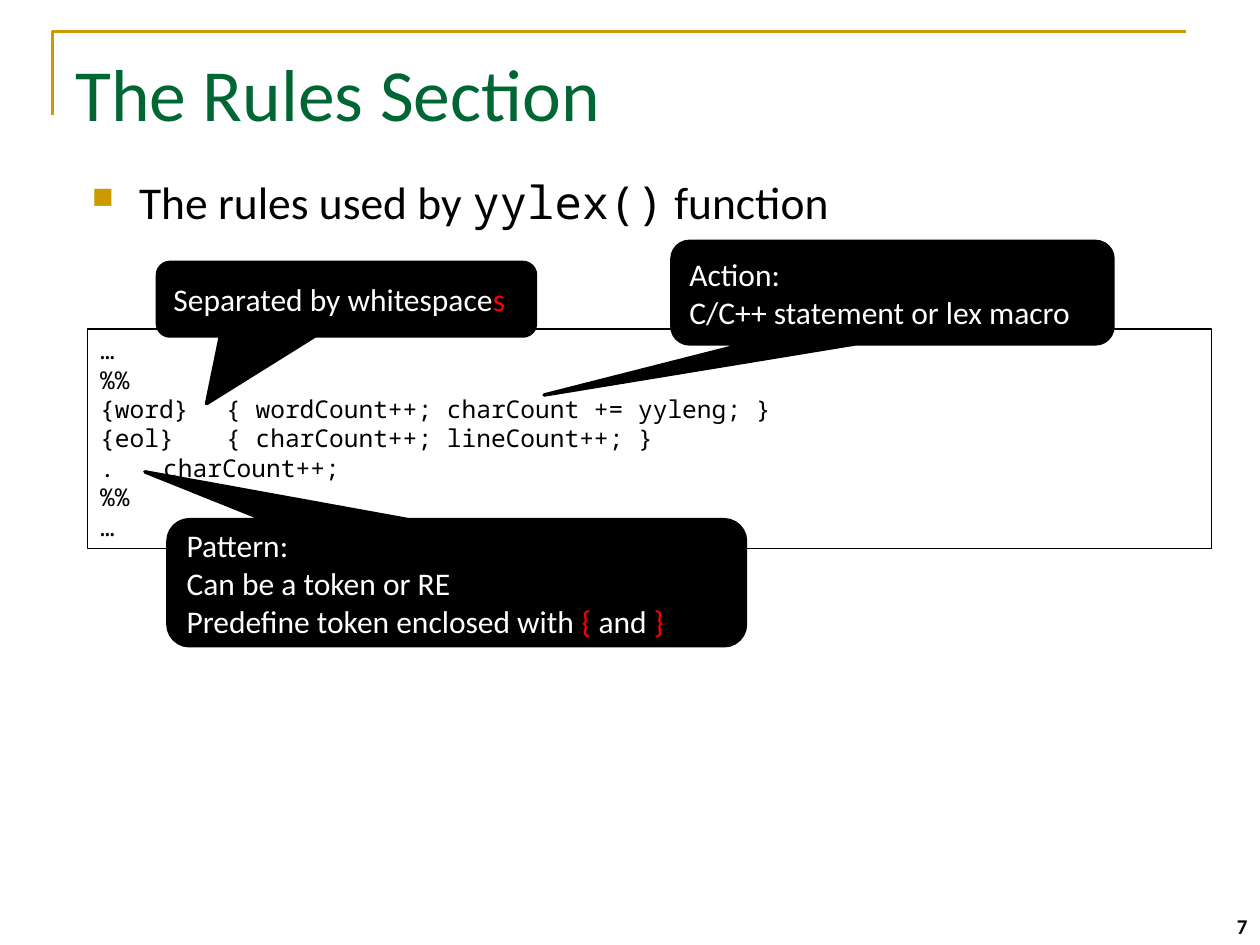
from pptx import Presentation
from pptx.dml.color import RGBColor
from pptx.enum.shapes import MSO_SHAPE as Preset
from pptx.enum.text import MSO_ANCHOR as Anchor, PP_ALIGN as Align
from pptx.oxml import parse_xml
from pptx.oxml.ns import nsdecls
from pptx.util import Pt

BLACK, WHITE, RED, GOLD, GREEN = "000000", "FFFFFF", "FF0000", "CC9900", "006633"
SANS, MONO = "Calibri", "Noto Sans Mono"


def color(value):
    return RGBColor.from_string(value)


def write(shape, lines, size, text_color=BLACK, font=SANS, align=Align.LEFT, **frame_format):
    """Fill a shape with lines; each line is a list of (text, font changes)."""
    frame = shape.text_frame
    frame_values = {"word_wrap": True, "vertical_anchor": Anchor.TOP, **frame_format}
    for name, value in frame_values.items():
        setattr(frame, name, value)
    for index, line in enumerate(lines):
        paragraph = frame.paragraphs[0] if index == 0 else frame.add_paragraph()
        paragraph.alignment = align
        for text, changes in line:
            run = paragraph.add_run()
            run.text = text
            font_values = {"name": font, "size": Pt(size), **changes}
            run_color = font_values.pop("color", text_color)
            for name, value in font_values.items():
                setattr(run.font, name, value)
            run.font.color.rgb = color(run_color)


presentation = Presentation()
presentation.slide_width, presentation.slide_height = Pt(720), Pt(540)
slide = presentation.slides.add_slide(presentation.slide_layouts[6])
shapes = slide.shapes

# Corner rule around the title
builder = shapes.build_freeform(Pt(30), Pt(66))
builder.add_line_segments([(Pt(30), Pt(18)), (Pt(678), Pt(18))], close=False)
corner = builder.convert_to_shape()
corner.shadow.inherit = False
corner.fill.background()
corner.line.color.rgb = color(GOLD)
corner.line.width = Pt(1.5)

# Page number
page_number = shapes.add_textbox(Pt(552), Pt(504), Pt(168), Pt(36))
write(page_number, [[("7", {"bold": True})]], 12, align=Align.RIGHT,
      vertical_anchor=Anchor.BOTTOM)

# Title
title = shapes.add_textbox(Pt(36), Pt(21.6), Pt(648), Pt(90))
write(title, [[("The Rules Section", {})]], 42, GREEN, margin_top=Pt(6))

# Bullet line
body = shapes.add_textbox(Pt(45.4), Pt(95.8), Pt(648), Pt(42))
write(body, [[("The rules used by ", {}), ("yylex()", {"name": MONO}), (" function", {})]], 26)
properties = body.text_frame.paragraphs[0]._p.get_or_add_pPr()
properties.set("marL", str(Pt(27)))
properties.set("indent", str(Pt(-27)))
for bullet_xml in (
    f'<a:buClr {nsdecls("a")}><a:srgbClr val="{GOLD}"/></a:buClr>',
    f'<a:buSzPct {nsdecls("a")} val="65000"/>',
    f'<a:buChar {nsdecls("a")} char="■"/>',
):
    properties.append(parse_xml(bullet_xml))

# Code listing
code_lines = [
    "…",
    "%%",
    "{word}\t{ wordCount++; charCount += yyleng; }",
    "{eol}\t{ charCount++; lineCount++; }",
    ".\tcharCount++;",
    "%%",
    "…",
]
code_box = shapes.add_shape(Preset.RECTANGLE, Pt(50.2), Pt(188), Pt(642), Pt(125.3))
code_box.shadow.inherit = False
code_box.fill.background()
code_box.line.color.rgb = color(BLACK)
code_box.line.width = Pt(0.75)
write(code_box, [[(line, {})] for line in code_lines], 14, font=MONO)

# Callouts: bounds, pointer tip relative to the centre, lines
red = {"color": RED}
callouts = [
    ((96, 297, 330, 72), (-0.54, -0.88), [
        [("Pattern:", {})],
        [("Can be a token or RE", {})],
        [("Predefine token enclosed with ", {}), ("{ ", red), ("and", {}), (" }", red)],
    ]),
    ((90, 150, 216, 42), (-0.37, 1.42), [
        [("Separated by whitespace", {}), ("s", red)],
    ]),
    ((384, 138, 252, 58.5), (-0.79, 1), [
        [("Action:", {})],
        [("C/C++ statement or lex macro", {})],
    ]),
]
for bounds, tip, lines in callouts:
    callout = shapes.add_shape(Preset.ROUNDED_RECTANGULAR_CALLOUT, *map(Pt, bounds))
    callout.shadow.inherit = False
    for index, value in enumerate((*tip, 0.17)):
        callout.adjustments[index] = value
    callout.fill.solid()
    callout.fill.fore_color.rgb = color(BLACK)
    callout.line.color.rgb = color(BLACK)
    callout.line.width = Pt(2)
    write(callout, lines, 18, WHITE, vertical_anchor=Anchor.MIDDLE)

presentation.save("out.pptx")
